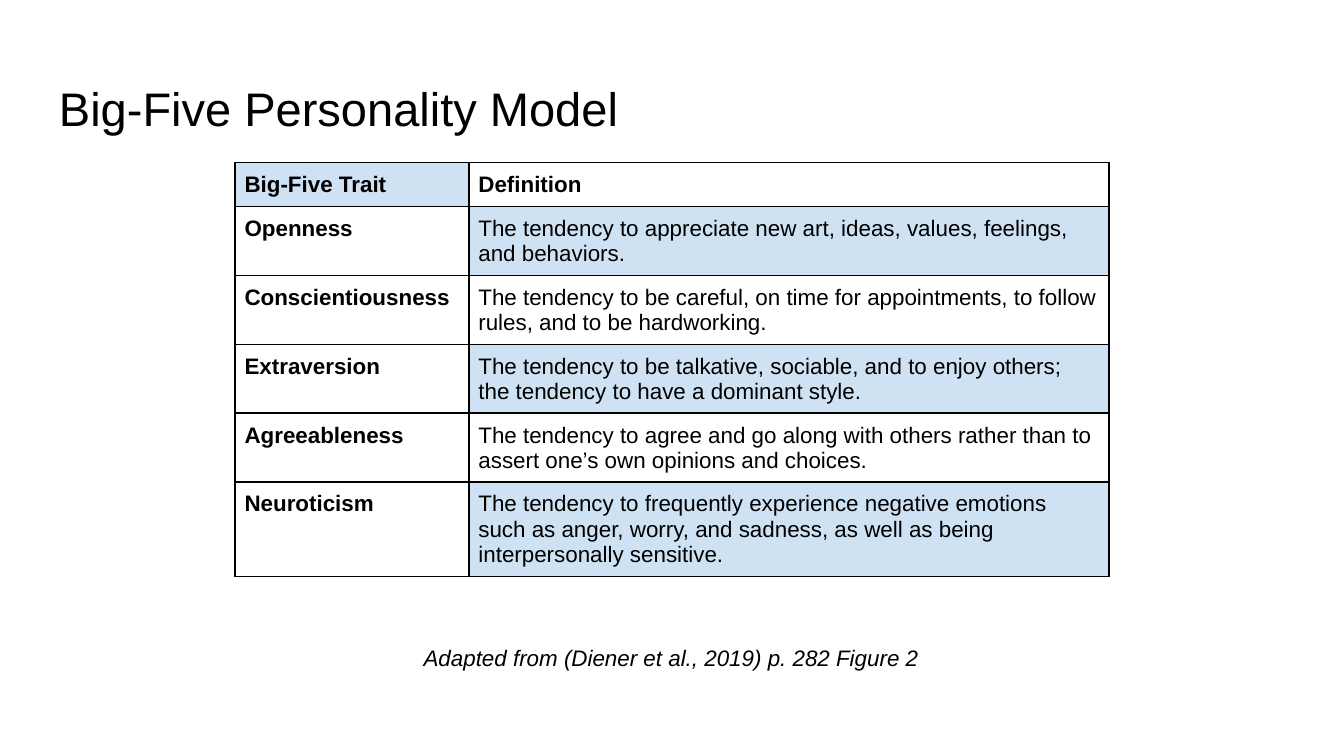
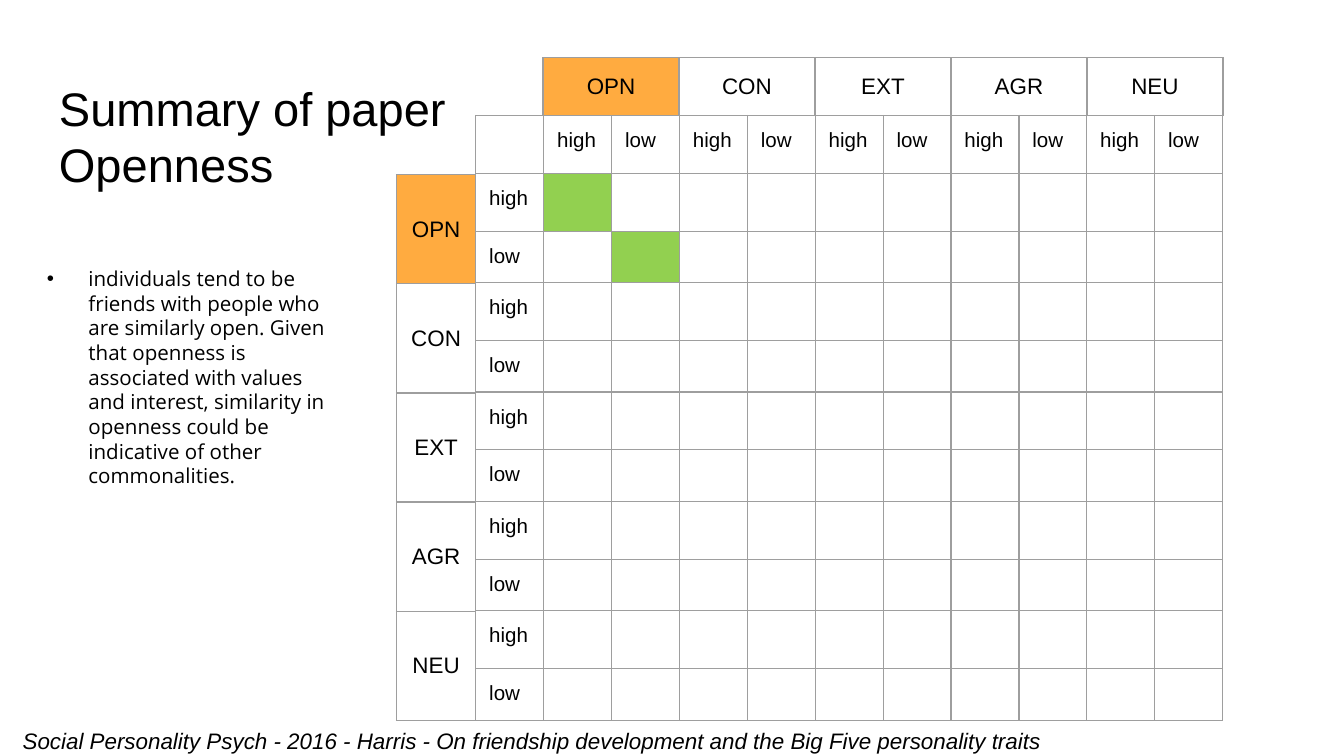
from pptx import Presentation
from pptx.dml.color import RGBColor
from pptx.enum.text import MSO_ANCHOR, MSO_AUTO_SIZE, PP_ALIGN
from pptx.oxml import parse_xml
from pptx.oxml.ns import nsdecls
from pptx.util import Inches, Pt

# Shared look
BLACK, GREY = "000000", "9E9E9E"
BLUE, ORANGE, GREEN = "CFE2F3", "FFAB40", "92D050"
TITLE = {"size": Pt(25.2), "name": "Arial"}
BODY = {"size": Pt(12), "name": "Arial"}
BOLD = {**BODY, "bold": True}
ITALIC = {**BODY, "italic": True}
LEVEL = {"size": Pt(11), "name": "Arial"}
BULLET = {"size": Pt(11), "name": "Open Sans"}
SIDES = ("left", "right", "top", "bottom")

DEFINITIONS = [
    ("Big-Five Trait", "Definition"),
    ("Openness", "The tendency to appreciate new art, ideas, values, feelings, "
                 "and behaviors."),
    ("Conscientiousness", "The tendency to be careful, on time for appointments, "
                          "to follow rules, and to be hardworking."),
    ("Extraversion", "The tendency to be talkative, sociable, and to enjoy others; "
                     "the tendency to have a dominant style."),
    ("Agreeableness", "The tendency to agree and go along with others rather than "
                      "to assert one’s own opinions and choices."),
    ("Neuroticism", "The tendency to frequently experience negative emotions such "
                    "as anger, worry, and sadness, as well as being "
                    "interpersonally sensitive."),
]
TRAITS = ["OPN", "CON", "EXT", "AGR", "NEU"]
LEVELS = ["high", "low"] * len(TRAITS)


def rgb(color):
    return RGBColor.from_string(color)


def write(tf, text, font, align=None, spacing=None):
    """Fill the first paragraph; a vertical tab in text breaks the line."""
    p = tf.paragraphs[0]
    p.text = text
    p.alignment = align
    p.line_spacing = spacing
    for r in p.runs:
        for key, value in font.items():
            setattr(r.font, key, value)
        r.font.color.rgb = rgb(BLACK)
    return p


def add_text(s, box, text, font, align=None, spacing=None, inset=None,
             wrap=True, grow=True):
    tf = s.shapes.add_textbox(*map(Inches, box)).text_frame
    tf.word_wrap = wrap
    tf.auto_size = MSO_AUTO_SIZE.SHAPE_TO_FIT_TEXT if grow else MSO_AUTO_SIZE.NONE
    if inset is not None:
        for side in SIDES:
            setattr(tf, f"margin_{side}", Inches(inset))
    return write(tf, text, font, align, spacing)


def add_title(s, text):
    add_text(s, (0.34, 0.49, 9.32, 0.63), text, TITLE, inset=0.1, grow=False)


def add_bullet(p, indent):
    pPr = p._p.get_or_add_pPr()
    pPr.set("marL", str(Inches(indent)))
    pPr.set("indent", str(-Inches(indent)))
    for xml in (f'<a:buClr {nsdecls("a")}><a:srgbClr val="{BLACK}"/></a:buClr>',
                f'<a:buFont {nsdecls("a")} typeface="Arial"/>',
                f'<a:buChar {nsdecls("a")} char="•"/>'):
        pPr.append(parse_xml(xml))


def set_borders(cell, color, width):
    tcPr = cell._tc.get_or_add_tcPr()
    for side in "LRTB":
        tcPr.append(parse_xml(
            f'<a:ln{side} {nsdecls("a")} w="{Pt(width)}"><a:solidFill>'
            f'<a:srgbClr val="{color}"/></a:solidFill></a:ln{side}>'))


def set_empty_size(cell, size):
    """Size the empty line of a cell, so that it does not stretch its row."""
    cell.text_frame.paragraphs[0]._p.append(parse_xml(
        f'<a:endParaRPr {nsdecls("a")} sz="{int(size.pt * 100)}"/>'))


def add_grid(s, left, top, cols, rows, texts, font_at, fills, line, inset,
             centred=False):
    """Draw a table; font_at(row, col) gives a font, fills maps (row, col)."""
    table = s.shapes.add_table(len(rows), len(cols), Inches(left), Inches(top),
                               Inches(sum(cols)), Inches(sum(rows))).table
    table.first_row = table.horz_banding = False
    for col, width in zip(table.columns, cols):
        col.width = Inches(width)
    for i, height in enumerate(rows):
        table.rows[i].height = Inches(height)
        for j, text in enumerate(texts[i]):
            cell = table.cell(i, j)
            set_borders(cell, *line)
            if (i, j) in fills:
                cell.fill.solid()
                cell.fill.fore_color.rgb = rgb(fills[i, j])
            else:
                cell.fill.background()
            for side in SIDES:
                setattr(cell, f"margin_{side}", Inches(inset))
            if centred:
                cell.vertical_anchor = MSO_ANCHOR.MIDDLE
            if text:
                write(cell.text_frame, text, font_at(i, j),
                      PP_ALIGN.CENTER if centred else None)
            else:
                set_empty_size(cell, font_at(i, j)["size"])


def build_model(s):
    add_title(s, "Big-Five Personality Model")
    add_grid(s, 1.75, 1.21, [1.74, 4.76], [0.32] + [0.51] * 4 + [0.7],
             DEFINITIONS, lambda i, j: BOLD if i == 0 or j == 0 else BODY,
             {(0, 0): BLUE, **{(i, 1): BLUE for i in (1, 3, 5)}},
             (BLACK, 1), 0.07)
    add_text(s, (1.94, 4.66, 6.11, 0.4),
             "Adapted from (Diener et al., 2019) p. 282 Figure 2",
             ITALIC, PP_ALIGN.CENTER, 1.15, inset=0.1)


def build_summary(s):
    line = (GREY, 0.75)
    n = len(LEVELS)
    # Grid of high and low levels
    texts = [[""] + LEVELS] + [[level] + [""] * n for level in LEVELS]
    add_grid(s, 3.54, 0.86, [5.56 / (n + 1)] * (n + 1),
             [0.43] + [0.43, 0.37] * len(TRAITS), texts, lambda i, j: LEVEL,
             {(1, 1): GREEN, (2, 2): GREEN}, line, 0.1)
    # Trait names down the side and along the top
    for left, top, cols, rows, names in (
            (2.95, 1.3, [0.59], [4.06 / 5] * 5, [[t] for t in TRAITS]),
            (4.04, 0.43, [5.06 / 5] * 5, [0.43], [TRAITS])):
        add_grid(s, left, top, cols, rows, names, lambda i, j: BODY,
                 {(0, 0): ORANGE}, line, 0.1, centred=True)
    # Finding, title and source
    p = add_text(s, (0.25, 1.93, 2.37, 1.77),
                 "individuals tend to be friends with people who are similarly "
                 "open. Given that openness is associated with values and "
                 "interest, similarity in openness could be indicative of other "
                 "commonalities.", BULLET)
    add_bullet(p, 0.31)
    add_title(s, "Summary of paper\vOpenness")
    add_text(s, (0.07, 5.36, 7.94, 0.3),
             "Social Personality Psych - 2016 - Harris - On friendship "
             "development and the Big Five personality traits",
             ITALIC, wrap=False)


def main():
    prs = Presentation()
    # Widescreen, 16 to 9
    prs.slide_width, prs.slide_height = Inches(10), Inches(10 * 9 / 16)
    for build in (build_model, build_summary):
        build(prs.slides.add_slide(prs.slide_layouts[6]))
    prs.save("out.pptx")


main()
